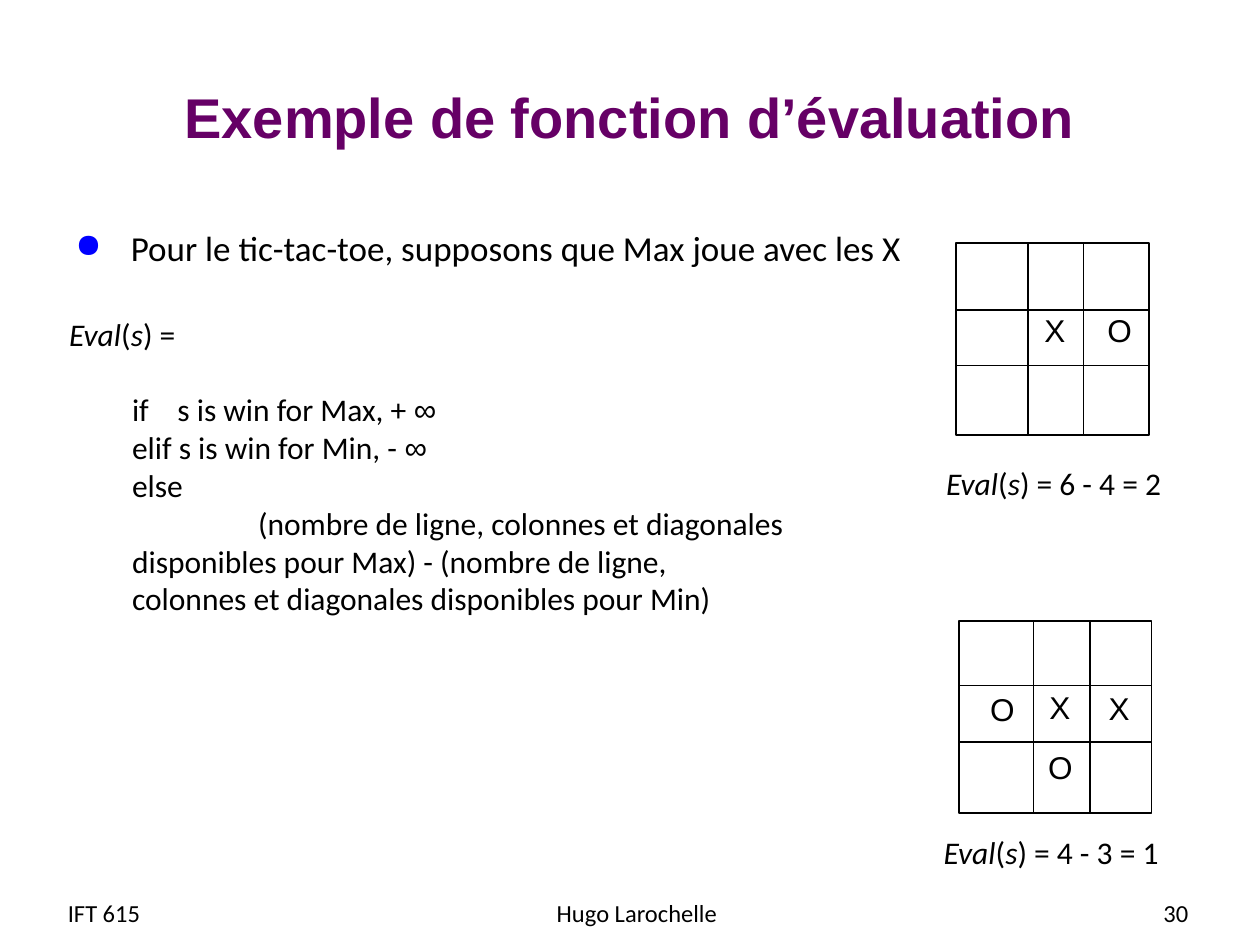
from pptx import Presentation
from pptx import util as u
from pptx.dml.color import RGBColor
from pptx.enum import shapes, text
from lxml import etree

BLACK = RGBColor(0, 0, 0)
PURPLE = RGBColor(0x66, 0, 0x66)
DRAWING = "{http://schemas.openxmlformats.org/drawingml/2006/main}"

presentation = Presentation()
presentation.slide_width, presentation.slide_height = u.Inches(10), u.Inches(7.5)
slide = presentation.slides.add_slide(presentation.slide_layouts[6])

# The slide is a grid of 100 columns by 75 rows
COLUMN = presentation.slide_width / 100
ROW = presentation.slide_height / 75


def cells(left, top, right, bottom):
    return [round(n * side) for n, side in zip((left, top, right, bottom), (COLUMN, ROW) * 2)]


def add_text(box, paragraphs, size=18, font="Calibri", color=BLACK, bold=None,
             align=text.PP_ALIGN.LEFT, anchor=text.MSO_ANCHOR.TOP, wrap=True):
    """Each paragraph is a list of runs, (words, format values), or None for a line break."""
    frame = slide.shapes.add_textbox(*cells(*box)).text_frame
    frame.word_wrap, frame.vertical_anchor = wrap, anchor
    for number, runs in enumerate(paragraphs):
        paragraph = frame.add_paragraph() if number else frame.paragraphs[0]
        paragraph.alignment = align
        for item in runs:
            if item is None:
                paragraph.add_line_break()
                continue
            words, changes = item
            run = paragraph.add_run()
            run.text = words
            values = {"name": font, "size": u.Pt(size), "bold": bold, **changes}
            for name, value in values.items():
                setattr(run.font, name, value)
            run.font.color.rgb = color
    return frame.paragraphs


ITALIC = {"italic": True}
EVAL = [("Eval", ITALIC), ("(", {}), ("s", ITALIC)]
INFINITY = ("∞", {"name": "Arial"})

# Title
add_text((5, 3, 90, 12.5), [[("Exemple de fonction d’évaluation", {})]], size=32,
         font="Arial", color=PURPLE, bold=True, align=text.PP_ALIGN.CENTER,
         anchor=text.MSO_ANCHOR.MIDDLE)

# Bulleted statement
statement = add_text((5, 17.5, 90, 5),
                     [[("Pour le tic-tac-toe, supposons que Max joue avec les X", {})]],
                     size=20)[0]
properties = statement._p.get_or_add_pPr()
properties.set("marL", str(u.Inches(0.44)))
properties.set("indent", str(-u.Inches(0.44)))
bullet_color = etree.SubElement(properties, DRAWING + "buClr")
etree.SubElement(bullet_color, DRAWING + "srgbClr", val="0000FF")
etree.SubElement(properties, DRAWING + "buSzPct", val="95000")
etree.SubElement(properties, DRAWING + "buChar", char="●")

# Definition of the evaluation function
add_text((4.5, 24.5, 63.3, 4), [EVAL + [(") =", {})]])
rules = add_text((9.5, 30.5, 58.3, 19), [
    [("if\ts is win for Max, + ", {}), INFINITY],
    [("elif s is win for Min, - ", {}), INFINITY],
    [("else", {})],
    [("(nombre de ligne, colonnes et diagonales", {}), None,
     ("disponibles pour Max) - (nombre de ligne,", {}), None,
     ("colonnes et diagonales disponibles pour Min)", {})],
])
tabs = etree.SubElement(rules[0]._p.get_or_add_pPr(), DRAWING + "tabLst")
etree.SubElement(tabs, DRAWING + "tab", pos=str(u.Inches(0.36)), algn="l")
rules[-1]._p.get_or_add_pPr().set("indent", str(u.Inches(1)))

# Boards: corner, inner column and row lines, marks, score
BOARD_WIDTH, BOARD_HEIGHT = 15.3, 15.2
boards = [
    (75.9, 19.3, (81.6, 86), (24.6, 29),
     [("X", 81.9, 24.2), ("O", 86.9, 24.2)],
     (") = 6 - 4 = 2", 74.1, 36.3)),
    (76.1, 49.3, (82, 86.5), (54.4, 58.9),
     [("X", 82.3, 54.1), ("O", 82.2, 58.9), ("X", 87, 54.2), ("O", 77.6, 54.3)],
     (") = 4 - 3 = 1", 73.9, 65.6)),
]
for left, top, columns, rows, marks, (score, score_left, score_top) in boards:
    right, bottom = left + BOARD_WIDTH, top + BOARD_HEIGHT
    lines = [(left, row, right, row) for row in rows]
    lines += [(column, top, column, bottom) for column in columns]
    for ends in lines:
        line = slide.shapes.add_connector(shapes.MSO_CONNECTOR.STRAIGHT, *cells(*ends))
        line.line.color.rgb, line.line.width = BLACK, u.Pt(0.75)
        etree.SubElement(line._element.spPr, DRAWING + "effectLst")

    for mark, mark_left, mark_top in marks:
        add_text((mark_left, mark_top, 3.8, 4), [[(mark, {})]], font="Arial", wrap=False)

    frame = slide.shapes.add_shape(shapes.MSO_SHAPE.RECTANGLE,
                                   *cells(left, top, BOARD_WIDTH, BOARD_HEIGHT))
    frame.shadow.inherit = False
    frame.fill.background()
    frame.line.color.rgb, frame.line.width = BLACK, u.Pt(1)

    add_text((score_left, score_top, 19.1, 4), [EVAL + [(score, {})]], wrap=False)

# Footer
for words, left, width, align in [
    ("IFT 615", 4.4, 19.3, text.PP_ALIGN.LEFT),
    ("Hugo Larochelle", 34.7, 31.7, text.PP_ALIGN.CENTER),
    ("30", 72, 23.3, text.PP_ALIGN.RIGHT),
]:
    add_text((left, 70.4, width, 4), [[(words, {})]], size=14, align=align,
             anchor=text.MSO_ANCHOR.MIDDLE)

presentation.save("out.pptx")
